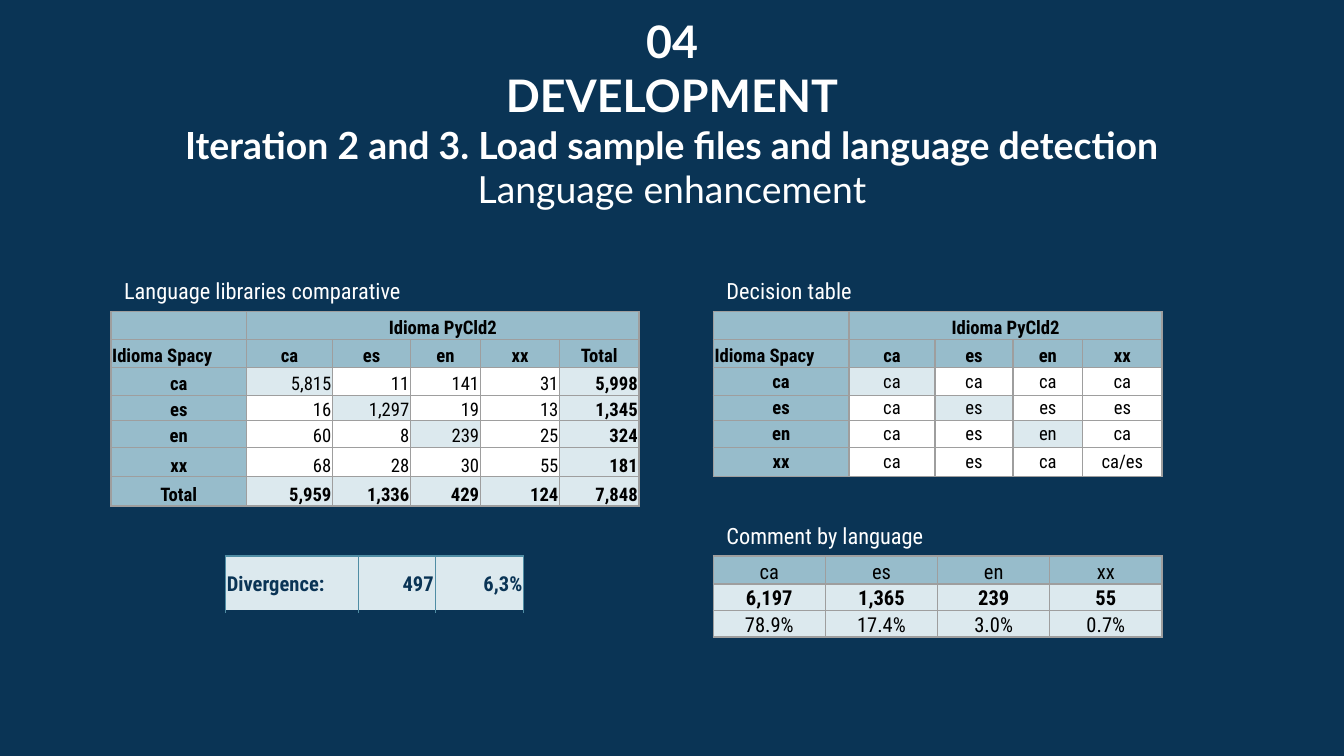
from dataclasses import dataclass

from lxml import etree
from pptx import Presentation
from pptx import util as u
from pptx.dml.color import RGBColor
from pptx.enum import text
from pptx.oxml import ns

LEFT, CENTER, RIGHT = text.PP_ALIGN.LEFT, text.PP_ALIGN.CENTER, text.PP_ALIGN.RIGHT
TOP, MIDDLE, BOTTOM = text.MSO_ANCHOR.TOP, text.MSO_ANCHOR.MIDDLE, text.MSO_ANCHOR.BOTTOM
SLIDE_WIDTH = u.Inches(10)
SLIDE_HEIGHT = SLIDE_WIDTH * 9 // 16


@dataclass(frozen=True)
class Theme:
    navy: str = "0A3455"
    white: str = "FFFFFF"
    black: str = "000000"
    header: str = "97BCCB"
    tint: str = "DCE9EE"
    grid: str = "9E9E9E"
    accent: str = "508DA4"
    title_font: str = "Lato"
    body_font: str = "Roboto Condensed"
    title_size: int = 24
    subtitle_size: int = 20
    label_size: int = 12
    summary_size: int = 11
    cell_size: int = 10


THEME = Theme()

# Grid: percent of the slide's width and height
COLUMN_LEFT, COLUMN_RIGHT = 8.25, 53.07
WIDE, NARROW = 39.3, 33.4
UPPER_ROW, LOWER_ROW = 41.2, 73.56
LABEL_HEIGHT = 5.4

# Cross tables share these column and row weights
CROSS_COLUMNS = [101, 64, 58, 52, 59, 59]
CROSS_ROWS = [21, 21, 21, 19, 20, 22, 22]
LANGUAGES = ["ca", "es", "en", "xx"]

GRID_BORDERS = dict.fromkeys("LRTB", (THEME.grid, 0.75))
DIVERGENCE_BORDERS = {**dict.fromkeys("LRT", (THEME.accent, 0.75)), "B": (THEME.navy, 2)}


def box(left, top, width, height):
    """Turn percentages of the slide into lengths."""
    sides = (SLIDE_WIDTH, SLIDE_HEIGHT) * 2
    return [int(side * share / 100) for side, share in zip(sides, (left, top, width, height))]


def assign(target, values):
    for name, value in values.items():
        setattr(target, name, value)


def add_run(paragraph, wording, size, color, bold=False, font=THEME.body_font):
    run = paragraph.add_run()
    run.text = wording
    assign(run.font, {"name": font, "size": u.Pt(size), "bold": bold})
    run.font.color.rgb = RGBColor.from_string(color)


def add_text_frame(slide, place):
    frame = slide.shapes.add_textbox(*place).text_frame
    assign(frame, {"word_wrap": True, "vertical_anchor": TOP})
    return frame


def add_title(slide):
    frame = add_text_frame(slide, box(8.25, 0.1, 83.5, 28.3))
    margins = ("margin_left", "margin_top", "margin_right", "margin_bottom")
    assign(frame, dict.fromkeys(margins, u.Inches(0.1)))
    lines = [
        ("04", THEME.title_size),
        ("DEVELOPMENT", THEME.title_size),
        ("Iteration 2 and 3. Load sample files and language detection", THEME.subtitle_size),
    ]
    for index, (wording, size) in enumerate(lines):
        paragraph = frame.add_paragraph() if index else frame.paragraphs[0]
        paragraph.alignment = CENTER
        add_run(paragraph, wording, size, THEME.white, True, THEME.title_font)
    paragraph.add_line_break()
    add_run(paragraph, "Language enhancement", THEME.subtitle_size, THEME.white,
            font=THEME.title_font)


def add_label(slide, wording, left, table_top, width):
    """Put a caption directly above a table."""
    frame = add_text_frame(slide, box(left, table_top - LABEL_HEIGHT, width, LABEL_HEIGHT))
    add_run(frame.paragraphs[0], wording, THEME.label_size, THEME.white)


def add_borders(cell, borders):
    properties = cell._tc.get_or_add_tcPr()
    for side in "LRTB":
        color, width = borders[side]
        line = etree.SubElement(properties, ns.qn(f"a:ln{side}"), w=str(u.Pt(width)))
        fill = etree.SubElement(line, ns.qn("a:solidFill"))
        etree.SubElement(fill, ns.qn("a:srgbClr"), val=color)


def fill_cell(cell, wording, borders, size, fill, bold=False, align=CENTER,
              anchor=BOTTOM, color=THEME.black):
    assign(cell, {"margin_left": u.Inches(0.01), "margin_right": u.Inches(0.01),
                  "margin_top": u.Inches(0.01), "margin_bottom": 0,
                  "vertical_anchor": anchor})
    add_borders(cell, borders)
    cell.fill.solid()
    cell.fill.fore_color.rgb = RGBColor.from_string(fill)
    paragraph = cell.text_frame.paragraphs[0]
    paragraph.alignment = align
    if wording:
        add_run(paragraph, wording, size, color, bold)
    # Keeps empty cells from stretching their row
    etree.SubElement(paragraph._p, ns.qn("a:endParaRPr"), sz=str(size * 100))


def add_grid(slide, place, columns, rows, values, style, size, borders=GRID_BORDERS):
    """Draw a table; style(row, column) gives the format of each cell."""
    table = slide.shapes.add_table(len(rows), len(columns), *place).table
    assign(table, {"first_row": False, "horz_banding": False})
    for column, weight in zip(table.columns, columns):
        column.width = int(place[2] * weight / sum(columns))
    for row, weight in zip(table.rows, rows):
        row.height = int(place[3] * weight / sum(rows))
    for i, row_values in enumerate(values):
        for j, wording in enumerate(row_values):
            fill_cell(table.cell(i, j), wording, borders, size, **style(i, j))
    return table


def add_cross_table(slide, place, headings, body, body_format):
    """Compare both libraries: two heading rows, then one row per language."""
    columns = CROSS_COLUMNS[:len(headings) + 1]
    rows = CROSS_ROWS[:len(body) + 2]
    values = [["", "Idioma PyCld2"] + [""] * (len(headings) - 1),
              ["Idioma Spacy"] + headings]
    values += [[name] + line for name, line in zip(headings, body)]

    def style(i, j):
        if i < 2:
            return {"fill": THEME.header, "bold": True, "align": CENTER if j else LEFT}
        if j == 0:
            return {"fill": THEME.header, "bold": True, "anchor": body_format["anchor"]}
        total = "Total" in (headings[i - 2], headings[j - 1])
        agreed = i - 1 == j and headings[j - 1] != "xx"
        return {"fill": THEME.tint if total or agreed else THEME.white,
                "bold": total, **body_format}

    table = add_grid(slide, place, columns, rows, values, style, THEME.cell_size)
    table.cell(0, 1).merge(table.cell(0, len(headings)))


def divergence_style(i, j):
    return {"fill": THEME.tint, "bold": True, "align": RIGHT if j else LEFT,
            "anchor": MIDDLE, "color": THEME.navy}


def comment_style(i, j):
    return {"fill": THEME.tint if i else THEME.header, "bold": i == 1}


def main():
    presentation = Presentation()
    assign(presentation, {"slide_width": SLIDE_WIDTH, "slide_height": SLIDE_HEIGHT})
    slide = presentation.slides.add_slide(presentation.slide_layouts[6])
    slide.background.fill.solid()
    slide.background.fill.fore_color.rgb = RGBColor.from_string(THEME.navy)
    add_title(slide)

    # Left column: counts and their divergence
    add_label(slide, "Language libraries comparative", COLUMN_LEFT, UPPER_ROW, WIDE)
    counts = [line.split() for line in (
        "5,815 11 141 31 5,998", "16 1,297 19 13 1,345", "60 8 239 25 324",
        "68 28 30 55 181", "5,959 1,336 429 124 7,848")]
    add_cross_table(slide, box(COLUMN_LEFT, UPPER_ROW, WIDE, 25.75), LANGUAGES + ["Total"],
                    counts, {"align": RIGHT, "anchor": BOTTOM})
    add_grid(slide, box(16.78, LOWER_ROW, 22.2, 7.3), [99, 57, 66], [1],
             [["Divergence:", "497", "6,3%"]], divergence_style,
             THEME.summary_size, DIVERGENCE_BORDERS)

    # Right column: decisions and the resulting comments
    add_label(slide, "Decision table", COLUMN_RIGHT, UPPER_ROW, NARROW)
    decisions = [line.split() for line in (
        "ca ca ca ca", "ca es es es", "ca es en ca", "ca es ca ca/es")]
    add_cross_table(slide, box(COLUMN_RIGHT, UPPER_ROW, NARROW, 21.85), LANGUAGES,
                    decisions, {"align": CENTER, "anchor": MIDDLE})
    add_label(slide, "Comment by language", COLUMN_RIGHT, LOWER_ROW, NARROW)
    comments = [LANGUAGES, ["6,197", "1,365", "239", "55"], ["78.9%", "17.4%", "3.0%", "0.7%"]]
    add_grid(slide, box(COLUMN_RIGHT, LOWER_ROW, NARROW, 10.7), [1] * 4, [21, 20, 20],
             comments, comment_style, THEME.summary_size)

    presentation.save("out.pptx")


if __name__ == "__main__":
    main()
